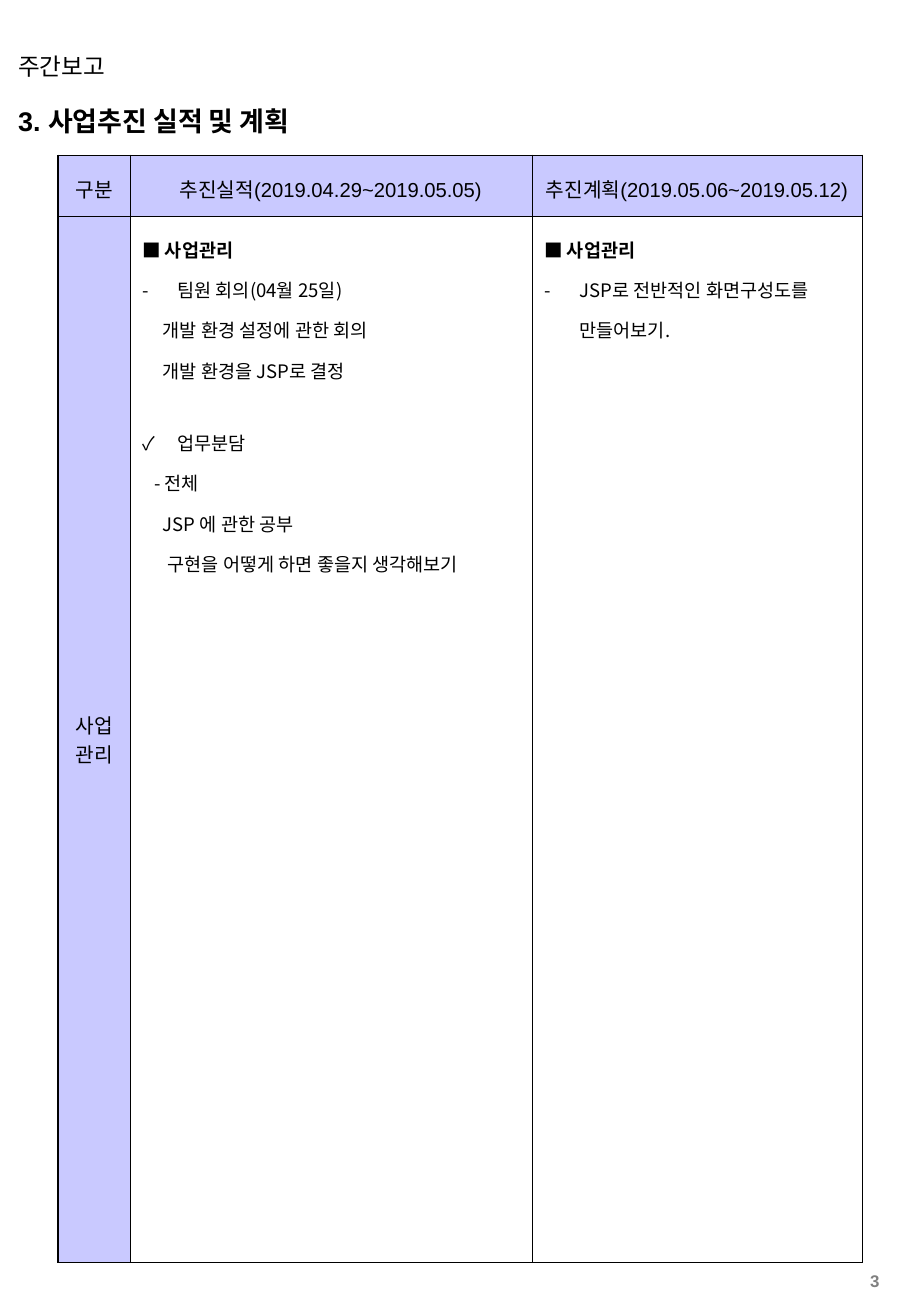
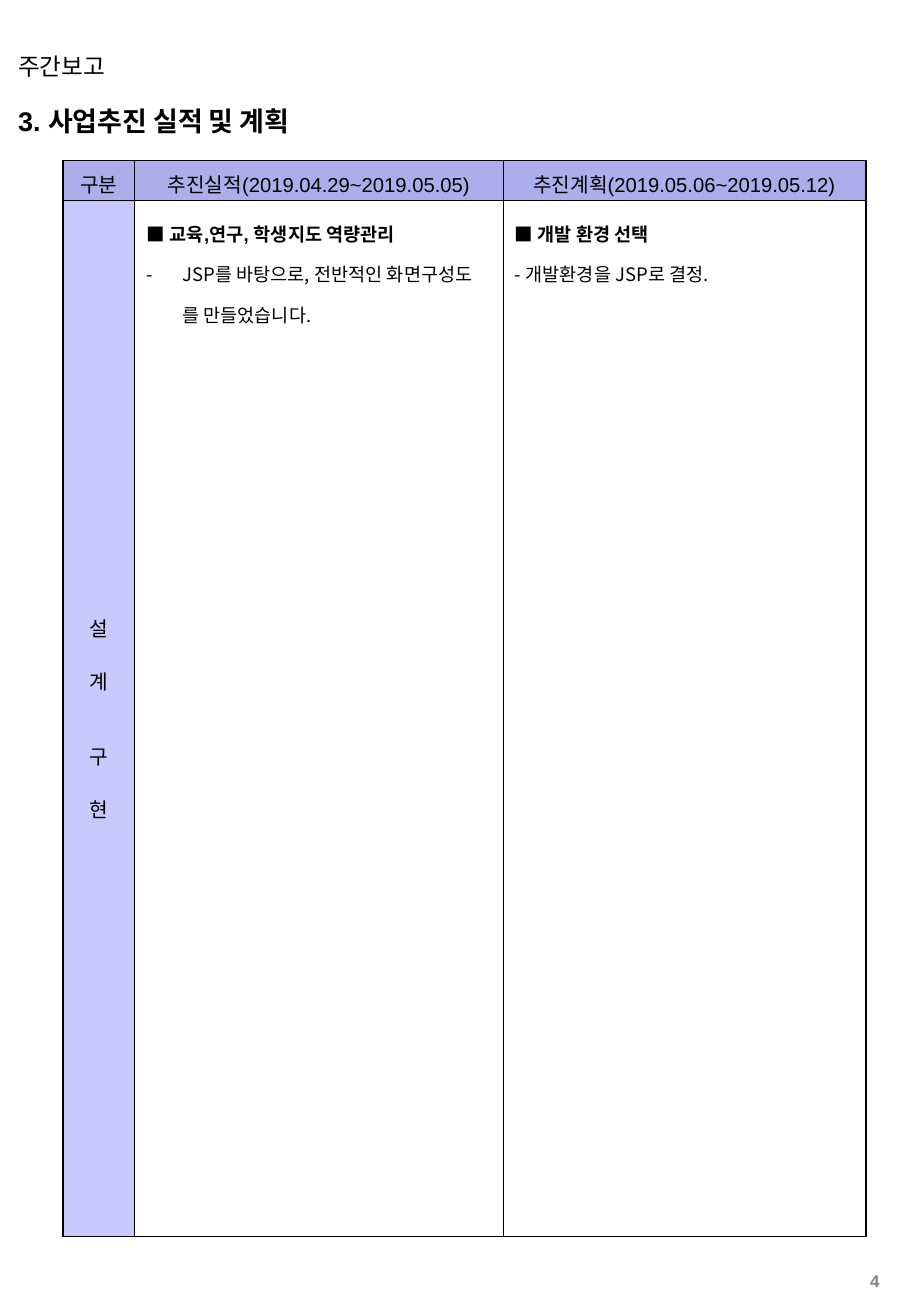
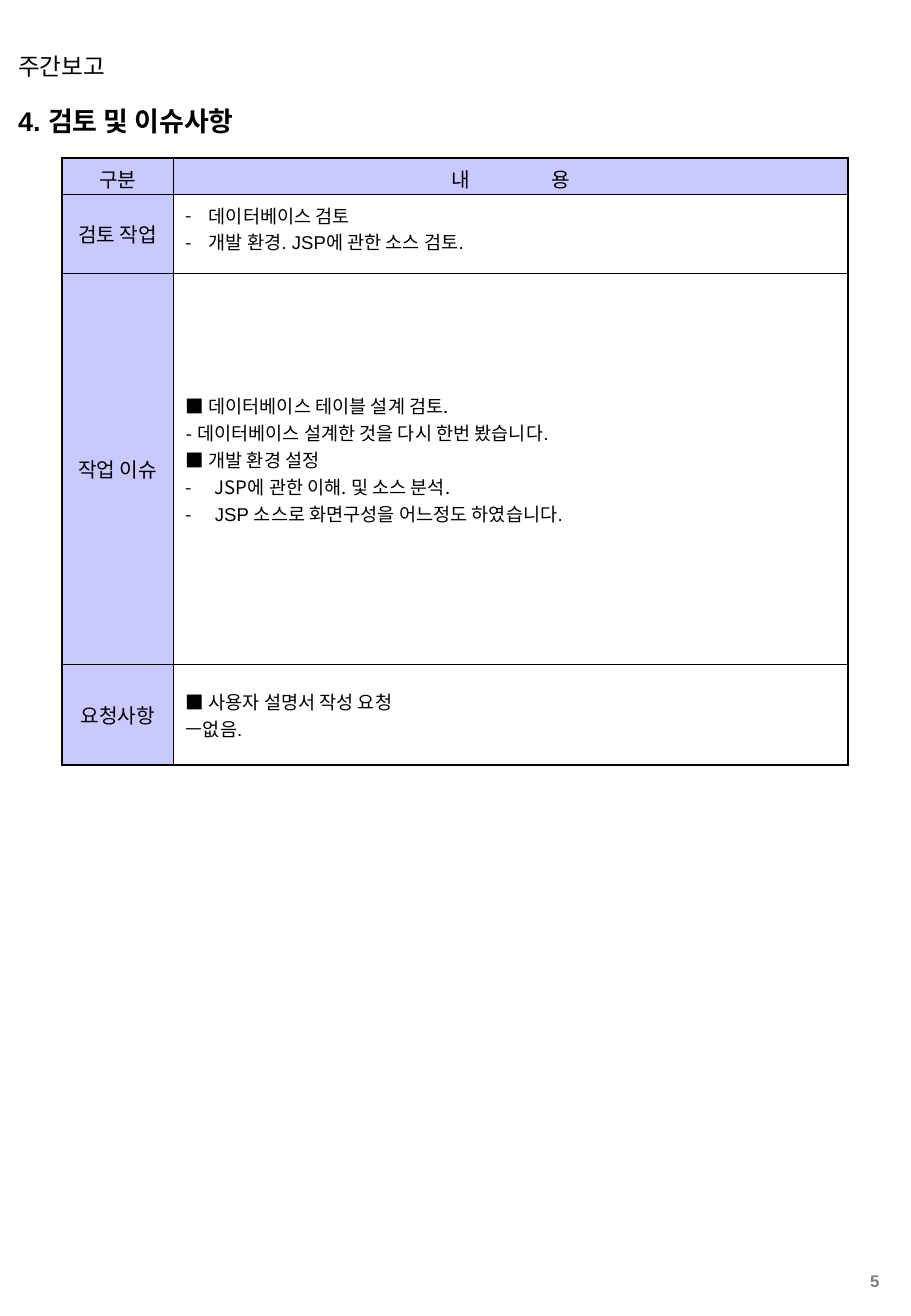
from dataclasses import dataclass

from lxml.etree import SubElement
from pptx import Presentation
from pptx.dml.color import RGBColor
from pptx.enum.text import MSO_ANCHOR as Anchor, MSO_AUTO_SIZE as AutoSize, PP_ALIGN as Align
from pptx.oxml.ns import qn
from pptx.util import Inches, Pt

# Shared look
BLACK, GREY = "000000", "808080"
LILAC, VIOLET = "C9C9FF", "ADADEB"
ARIAL, NOTO = "Arial", "Noto Sans CJK KR"
THIN, THICK = 0.45, 1.08
PERIODS = ("2019.04.29~2019.05.05", "2019.05.06~2019.05.12")


@dataclass
class Line:
    """One paragraph of a table cell; indent is the left margin in inches."""
    text: str
    bullet: str = ""
    indent: float = 0
    bold: bool = False
    font: str = NOTO
    before: float = 0


def rgb(code):
    return RGBColor.from_string(code)


# Text
def write(para, text, size=12, font=ARIAL, color=BLACK, bold=False,
          align=Align.LEFT, before=0, leading=1.0, tracking=0):
    para.alignment = align
    para.space_before = Pt(before)
    para.line_spacing = leading
    span = para.add_run()
    span.text = text
    span.font.size = Pt(size)
    span.font.name = font
    span.font.bold = bold
    span.font.color.rgb = rgb(color)
    props = span._r.get_or_add_rPr()
    SubElement(props, qn("a:ea"), typeface=NOTO)
    if tracking:
        props.set("spc", str(round(tracking * 100)))


def set_indent(para, left, bullet):
    props = para._p.get_or_add_pPr()
    props.set("marL", str(Inches(left)))
    props.set("indent", str(-Inches(left) if bullet else 0))
    if bullet:
        color = SubElement(props, qn("a:buClr"))
        SubElement(color, qn("a:srgbClr"), val=BLACK)
        SubElement(props, qn("a:buFont"), typeface=NOTO)
        SubElement(props, qn("a:buChar"), char=bullet)


def place_text(box, left, top, width, height, text, **style):
    box.left, box.top = Inches(left), Inches(top)
    box.width, box.height = Inches(width), Inches(height)
    frame = box.text_frame
    frame.word_wrap = True
    frame.auto_size = AutoSize.NONE
    frame.vertical_anchor = Anchor.TOP
    write(frame.paragraphs[0], text, **style)


def paragraphs(cell, count):
    frame = cell.text_frame
    return [frame.paragraphs[0]] + [frame.add_paragraph() for _ in range(count - 1)]


# Slide frame: running head, section title, page number
def add_page(deck, title, number):
    slide = deck.slides.add_slide(deck.slide_layouts[5])
    place_text(slide.shapes.title, 0.05, 0.81, 5.36, 0.37, title, size=16, bold=True)
    head = slide.shapes.add_textbox(0, 0, 0, 0)
    place_text(head, 0.05, 0.38, 5.95, 0.34, "주간보고", size=14)
    page = slide.shapes.add_textbox(0, 0, 0, 0)
    place_text(page, 6.78, 10.42, 0.56, 0.24, str(number), size=10, bold=True,
               color=GREY, align=Align.RIGHT)
    return slide


# Tables
def add_grid(slide, left, top, columns, rows, thick_edges, head_fill=LILAC):
    """Bordered table with a filled head row and a filled first column."""
    table = slide.shapes.add_table(
        len(rows), len(columns), Inches(left), Inches(top),
        Inches(sum(columns)), Inches(sum(rows))).table
    table.first_row = table.horz_banding = False
    for column, width in zip(table.columns, columns):
        column.width = Inches(width)
    for row, height in zip(table.rows, rows):
        row.height = Inches(height)
    for r in range(len(rows)):
        for c in range(len(columns)):
            cell = table.cell(r, c)
            outer = {"L": c == 0, "R": c == len(columns) - 1,
                     "T": r == 0, "B": r == len(rows) - 1}
            for side, on_edge in outer.items():
                draw_border(cell, side, THICK if on_edge and side in thick_edges else THIN)
            if r == 0 or c == 0:
                cell.fill.solid()
                cell.fill.fore_color.rgb = rgb(head_fill if r == 0 else LILAC)
            else:
                cell.fill.background()
    return table


def draw_border(cell, side, points):
    line = SubElement(cell._tc.get_or_add_tcPr(), qn(f"a:ln{side}"), w=str(Pt(points)))
    fill = SubElement(line, qn("a:solidFill"))
    SubElement(fill, qn("a:srgbClr"), val=BLACK)


def fill_head(table, labels):
    for column, label in enumerate(labels):
        fill_label(table.cell(0, column), [(label, 0)], top=0.05)


def fill_label(cell, labels, top=0.0, tracking=0):
    """Centred label; each entry is its text and the space before it."""
    cell.vertical_anchor = Anchor.MIDDLE
    cell.margin_left = cell.margin_right = Inches(0.05)
    cell.margin_top, cell.margin_bottom = Inches(top), 0
    for para, (text, before) in zip(paragraphs(cell, len(labels)), labels):
        write(para, text, align=Align.CENTER, before=before, tracking=tracking)


def fill_lines(cell, lines, leading=1.0, anchor=Anchor.MIDDLE, bottom=0.05):
    cell.vertical_anchor = anchor
    cell.margin_bottom = Inches(bottom)
    for para, line in zip(paragraphs(cell, len(lines)), lines):
        write(para, line.text, size=11, font=line.font, bold=line.bold,
              before=line.before, leading=leading)
        set_indent(para, line.indent, line.bullet)


# Slides
def add_progress(deck, number, left, top, columns, rows, thick_edges, head_fill,
                 label, results, plans):
    slide = add_page(deck, "3. 사업추진 실적 및 계획", number)
    table = add_grid(slide, left, top, columns, rows, thick_edges, head_fill)
    fill_head(table, ["구분", f"추진실적({PERIODS[0]})", f"추진계획({PERIODS[1]})"])
    fill_label(table.cell(1, 0), label)
    for column, lines in enumerate((results, plans), start=1):
        fill_lines(table.cell(1, column), lines, leading=1.5, anchor=Anchor.TOP)


def add_issues(deck, number):
    slide = add_page(deck, "4. 검토 및 이슈사항", number)
    table = add_grid(slide, 0.51, 1.3, [0.92, 5.55], [0.3, 0.65, 3.22, 0.83], "LTRB")
    fill_head(table, ["구분"])
    fill_label(table.cell(0, 1), [("내 용", 0)], top=0.05, tracking=23)
    issues = [
        ("검토 작업", 0.14, [
            Line("데이터베이스 검토", "-", 0.19, font=ARIAL),
            Line("개발 환경. JSP에 관한 소스 검토.", "-", 0.19, font=ARIAL)]),
        ("작업 이슈", 0.2, [
            Line("■ 데이터베이스 테이블 설계 검토."),
            Line("- 데이터베이스 설계한 것을 다시 한번 봤습니다.", font=ARIAL),
            Line("■ 개발 환경 설정"),
            Line("JSP에 관한 이해. 및 소스 분석.", "-", 0.24),
            Line("JSP 소스로 화면구성을 어느정도 하였습니다.", "-", 0.24, font=ARIAL)]),
        ("요청사항", 0.05, [
            Line("■ 사용자 설명서 작성 요청", font=ARIAL),
            Line("ㅡ없음.", font=ARIAL)]),
    ]
    for row, (label, bottom, lines) in enumerate(issues, start=1):
        fill_label(table.cell(row, 0), [(label, 0)])
        fill_lines(table.cell(row, 1), lines, bottom=bottom)


def main():
    deck = Presentation()
    deck.slide_width, deck.slide_height = Inches(7.5), Inches(10.84)

    # Project management
    add_progress(
        deck, 3, 0.48, 1.28, [0.59, 3.31, 2.72], [0.5, 8.62], "LTR", LILAC,
        label=[("사업", 0), ("관리", 0)],
        results=[
            Line("■ 사업관리", bold=True),
            Line("팀원 회의(04월 25일)", "-", 0.29),
            Line("개발 환경 설정에 관한 회의", indent=0.17),
            Line("개발 환경을 JSP로 결정", indent=0.17),
            Line("업무분담", "✓", 0.29, before=19),
            Line("- 전체", indent=0.1),
            Line("JSP 에 관한 공부", indent=0.17),
            Line("구현을 어떻게 하면 좋을지 생각해보기", indent=0.21)],
        plans=[
            Line("■ 사업관리", bold=True),
            Line("JSP로 전반적인 화면구성도를 만들어보기.", "-", 0.29)])

    # Design and implementation
    add_progress(
        deck, 4, 0.52, 1.32, [0.59, 3.03, 2.99], [0.33, 8.53], "LR", VIOLET,
        label=[("설", 0), ("계", 14), ("구", 27), ("현", 14)],
        results=[
            Line("■ 교육,연구, 학생지도 역량관리", bold=True, font=ARIAL),
            Line("JSP를 바탕으로, 전반적인 화면구성도 를 만들었습니다.", "-", 0.29)],
        plans=[
            Line("■ 개발 환경 선택", bold=True, font=ARIAL),
            Line("- 개발환경을 JSP로 결정.")])

    # Reviews and issues
    add_issues(deck, 5)
    deck.save("out.pptx")


if __name__ == "__main__":
    main()
